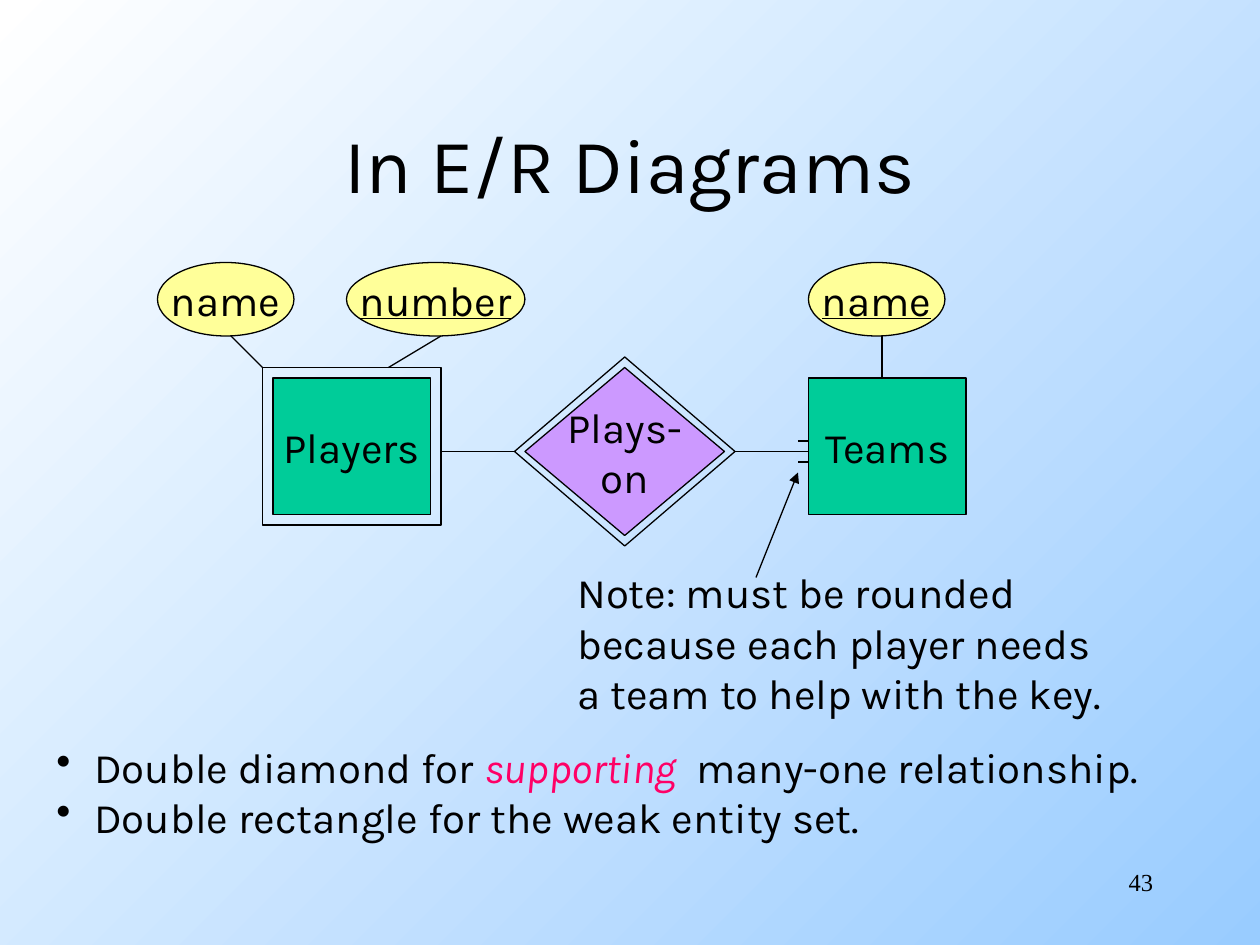
import pptx
import pptx.util
import pptx.dml.color
import pptx.enum.shapes
import pptx.enum.text
import pptx.oxml.ns
from lxml import etree

rgb = pptx.dml.color.RGBColor.from_string
qn = pptx.oxml.ns.qn
SHAPE = pptx.enum.shapes.MSO_SHAPE
ALIGN = pptx.enum.text.PP_ALIGN
MIDDLE = pptx.enum.text.MSO_ANCHOR.MIDDLE
BLACK = "000000"

prs = pptx.Presentation()
prs.slide_width, prs.slide_height = pptx.util.Inches(10), pptx.util.Inches(7.5)
U = prs.slide_width // 120  # grid of 120 columns by 90 rows


def write(tf, lines, size=24, align=ALIGN.LEFT, font="Karla", wrap=False):
    """Fill a text frame; each line becomes a paragraph."""
    tf.text = "\n".join(lines)
    tf.word_wrap = wrap
    for p in tf.paragraphs:
        p.alignment = align
        for r in p.runs:
            r.font.name, r.font.size = font, pptx.util.Pt(size)
            r.font.color.rgb = rgb(BLACK)


def outline(sp, fill=None):
    """Thin black line, plain fill or none, no shadow."""
    sp.shadow.inherit = False
    sp.line.color.rgb = rgb(BLACK)
    sp.line.width = pptx.util.Pt(0.75)
    if fill:
        sp.fill.solid()
        sp.fill.fore_color.rgb = rgb(fill)
    else:
        sp.fill.background()


# Background and title
s = prs.slides.add_slide(prs.slide_layouts[5])
bg = s.background.fill
bg.gradient()
bg.gradient_angle = 315
for stop, (pos, color) in zip(bg.gradient_stops, [(0, "FFFFFF"), (1, "99CCFF")]):
    stop.position, stop.color.rgb = pos, rgb(color)

title = s.shapes.title
title.left, title.top, title.width, title.height = 9 * U, 8 * U, 102 * U, 15 * U
write(title.text_frame, ["In E/R Diagrams"], 44, ALIGN.CENTER, wrap=True)
title.text_frame.vertical_anchor = MIDDLE

# Entities, relationship and attributes: kind, column, row, columns, rows, fill, lines, key
nodes = [
    (SHAPE.RECTANGLE, 26, 36, 15, 13, "00CC99", ["Players"], False),
    (SHAPE.RECTANGLE, 77, 36, 15, 13, "00CC99", ["Teams"], False),
    (SHAPE.RECTANGLE, 25, 35, 17, 15, None, [], False),
    (SHAPE.DIAMOND, 50, 35, 19, 16, "CC99FF", ["Plays-", "on"], False),
    (SHAPE.DIAMOND, 49, 34, 21, 18, None, [], False),
    (SHAPE.OVAL, 15, 25, 13, 7, "FFFF99", ["name"], False),
    (SHAPE.OVAL, 77, 25, 13, 7, "FFFF99", ["name"], True),
    (SHAPE.OVAL, 33, 25, 17, 7, "FFFF99", ["number"], True),
]
for kind, x, y, w, h, fill, lines, key in nodes:
    sp = s.shapes.add_shape(kind, x * U, y * U, w * U, h * U)
    outline(sp, fill)
    if lines:
        tf = sp.text_frame
        write(tf, lines, align=ALIGN.CENTER)
        tf.vertical_anchor = MIDDLE
        tf.paragraphs[0].runs[0].font.underline = key

# Connecting lines, and the arrow from the note
links = [(42, 43, 49, 43), (22, 32, 25, 35), (42, 32, 37, 35),
         (84, 32, 84, 36), (70, 43, 77, 43), (72, 55, 76, 45)]
for x1, y1, x2, y2 in links:
    cx = s.shapes.add_connector(pptx.enum.shapes.MSO_CONNECTOR.STRAIGHT,
                                x1 * U, y1 * U, x2 * U, y2 * U)
    cx.line.color.rgb = rgb(BLACK)
    cx.line.width = pptx.util.Pt(0.75)
    etree.SubElement(cx._element.spPr, qn("a:effectLst"))
etree.SubElement(cx.line._get_or_add_ln(), qn("a:tailEnd"), type="triangle")

# Rounded arrowhead at Teams, a small parabola
curve = [(77 - t * t, 43 + t) for t in (i / 8 for i in range(-8, 9))]
fb = s.shapes.build_freeform(*curve[0], scale=U)
fb.add_line_segments(curve[1:], close=False)
outline(fb.convert_to_shape())

# Note
tb = s.shapes.add_textbox(53.8 * U, 53.4 * U, 54.4 * U, 15.6 * U)
write(tb.text_frame, ["Note: must be rounded", "because each player needs",
                      "a team to help with the key."])

# Bulleted remarks
tb = s.shapes.add_textbox(4.2 * U, 70 * U, 109 * U, 10.8 * U)
tf = tb.text_frame
tf.text = "Double diamond for \nDouble rectangle for the weak entity set."
p = tf.paragraphs[0]
for text in ("supporting", "  many-one relationship."):
    p.add_run().text = text
for p in tf.paragraphs:
    pPr = p._p.get_or_add_pPr()
    pPr.set("marL", str(int(3.6 * U)))
    pPr.set("indent", str(int(-3.6 * U)))
    etree.SubElement(pPr, qn("a:buChar"), char="•")
    for r in p.runs:
        key = r.text == "supporting"
        r.font.name, r.font.size, r.font.italic = "Karla", pptx.util.Pt(24), key
        r.font.color.rgb = rgb("FF0066" if key else BLACK)
tf.word_wrap = False

# Page number
tb = s.shapes.add_textbox(86 * U, 82 * U, 25 * U, 6 * U)
write(tb.text_frame, ["43"], 14, ALIGN.RIGHT, "Times New Roman", wrap=True)

prs.save("out.pptx")
